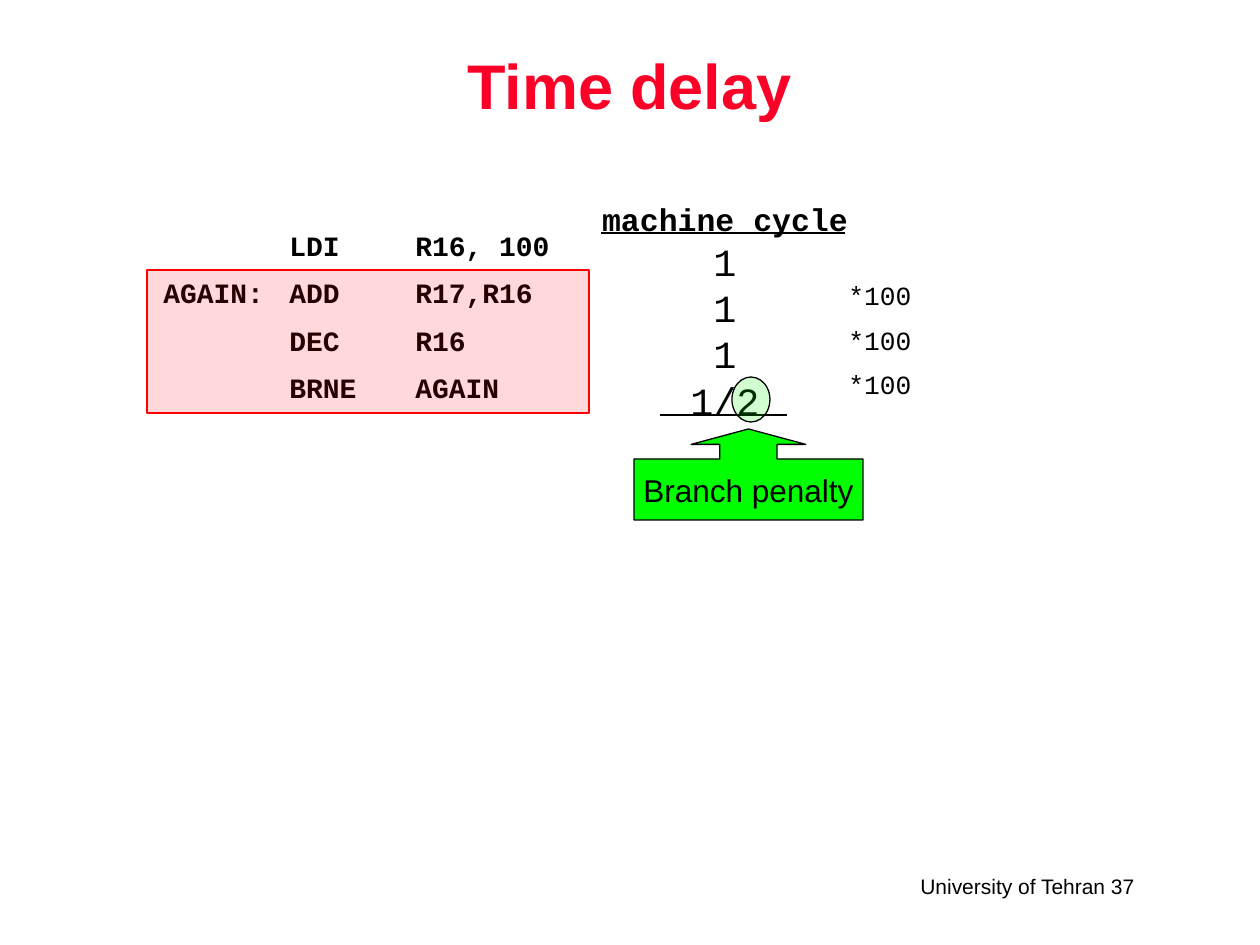
from typing import NamedTuple

from lxml.etree import SubElement
from pptx import Presentation
from pptx.dml.color import RGBColor
from pptx.enum.shapes import MSO_CONNECTOR as Connector, MSO_SHAPE as Shape
from pptx.enum.text import MSO_ANCHOR as Anchor, MSO_AUTO_SIZE as AutoSize, PP_ALIGN as Align
from pptx.oxml.ns import qn
from pptx.util import Emu, Pt

EMU_PER_PX = 914400 / 126
BLACK, RED, GREEN, TITLE_RED = "000000", "FF0000", "00FF00", "FC0128"
SANS, MONO = "Arial", "Courier New"


class Box(NamedTuple):
    left: int
    top: int
    width: int
    height: int


class Style(NamedTuple):
    size: float
    name: str = SANS
    bold: bool = False
    color: str = BLACK


class Block(NamedTuple):
    box: Box
    lines: list[str]
    styles: list[Style]  # the last style serves all remaining lines
    para_format: dict = {}
    frame_format: dict = {}
    tabs: tuple[int, ...] = ()


class Mark(NamedTuple):
    kind: Shape
    box: Box
    fill: str
    line: str
    opacity: int = 100
    adjustments: tuple[float, ...] = ()


def px(length: int) -> Emu:
    return Emu(round(length * EMU_PER_PX))


def rgb(color: str) -> RGBColor:
    return RGBColor.from_string(color)


def set_all(target, values: dict) -> None:
    for name, value in values.items():
        setattr(target, name, value)


def add_tabs(para, tabs: tuple[int, ...]) -> None:
    tab_list = SubElement(para._p.get_or_add_pPr(), qn("a:tabLst"))
    for position in tabs:
        SubElement(tab_list, qn("a:tab"), pos=str(px(position)), algn="l")


def write(frame, lines: list[str], styles: list[Style], para_format: dict,
          tabs: tuple[int, ...] = ()) -> None:
    for index, line in enumerate(lines):
        para = frame.paragraphs[0] if index == 0 else frame.add_paragraph()
        set_all(para, para_format)
        if tabs:
            add_tabs(para, tabs)
        span = para.add_run()
        span.text = line
        style = styles[min(index, len(styles) - 1)]
        set_all(span.font, {"size": Pt(style.size), "name": style.name, "bold": style.bold})
        span.font.color.rgb = rgb(style.color)


def draw_block(page, block: Block) -> None:
    frame = page.shapes.add_textbox(*map(px, block.box)).text_frame
    set_all(frame, {"word_wrap": True, **block.frame_format})
    write(frame, block.lines, block.styles, block.para_format, block.tabs)


def draw_mark(page, mark: Mark):
    shape = page.shapes.add_shape(mark.kind, *map(px, mark.box))
    shape.shadow.inherit = False
    shape.fill.solid()
    shape.fill.fore_color.rgb = rgb(mark.fill)
    shape.line.color.rgb = rgb(mark.line)
    shape.line.width = Pt(0.75)
    for index, value in enumerate(mark.adjustments):
        shape.adjustments[index] = value
    if mark.opacity < 100:
        color = shape.fill._xPr.find(f".//{qn('a:srgbClr')}")
        SubElement(color, qn("a:alpha"), val=str(mark.opacity * 1000))
    return shape


def draw_rule(page, left: int, right: int, y: int) -> None:
    rule = page.shapes.add_connector(Connector.STRAIGHT, px(left), px(y), px(right), px(y))
    rule.line.color.rgb = rgb(BLACK)
    rule.line.width = Pt(0.75)
    SubElement(rule._element.spPr, qn("a:effectLst"))


GROW = {"auto_size": AutoSize.SHAPE_TO_FIT_TEXT}

BLOCKS = [
    # Footer
    Block(Box(908, 867, 338, 38), ["University of Tehran 37"], [Style(12)]),
    # Title
    Block(Box(136, 11, 987, 157), ["Time delay"], [Style(36, bold=True, color=TITLE_RED)],
          {"alignment": Align.CENTER, "line_spacing": 0.9},
          {"vertical_anchor": Anchor.MIDDLE}),
    # Assembly listing
    Block(Box(151, 222, 455, 198),
          ["\tLDI\tR16, 100", "AGAIN:\tADD\tR17,R16", "\tDEC\tR16", "\tBRNE\tAGAIN"],
          [Style(16, MONO, True)], {"space_before": Pt(8)}, GROW, (126, 252)),
    # Cycles of each instruction
    Block(Box(535, 194, 380, 281), ["machine cycle", "1", "1", "1", "1/2"],
          [Style(18, MONO, True), Style(22, MONO)],
          {"alignment": Align.CENTER, "space_before": Pt(0)}),
    # Loop repetitions
    Block(Box(836, 273, 132, 139), ["*100"] * 3, [Style(15, MONO)],
          {"space_before": Pt(7.5)}, GROW),
]

LOOP_FRAME = Mark(Shape.RECTANGLE, Box(147, 270, 442, 143), RED, RED, 15)
PENALTY_RING = Mark(Shape.OVAL, Box(732, 377, 38, 45), GREEN, BLACK, 18)
PENALTY_CALLOUT = Mark(Shape.UP_ARROW_CALLOUT, Box(634, 429, 229, 91), GREEN, BLACK,
                       adjustments=(0.63, 0.63, 0.17, 0.67))


def main() -> None:
    deck = Presentation()
    deck.slide_width, deck.slide_height = px(1260), px(945)
    page = deck.slides.add_slide(deck.slide_layouts[6])

    for block in BLOCKS:
        draw_block(page, block)

    # Rules under the heading and the cycle column
    draw_rule(page, 601, 845, 233)
    draw_rule(page, 660, 787, 415)

    # Loop highlight and branch penalty
    draw_mark(page, LOOP_FRAME)
    draw_mark(page, PENALTY_RING)
    frame = draw_mark(page, PENALTY_CALLOUT).text_frame
    set_all(frame, {"word_wrap": False, "vertical_anchor": Anchor.MIDDLE})
    write(frame, ["Branch penalty"], [Style(18)], {"alignment": Align.CENTER})

    deck.save("out.pptx")


if __name__ == "__main__":
    main()
